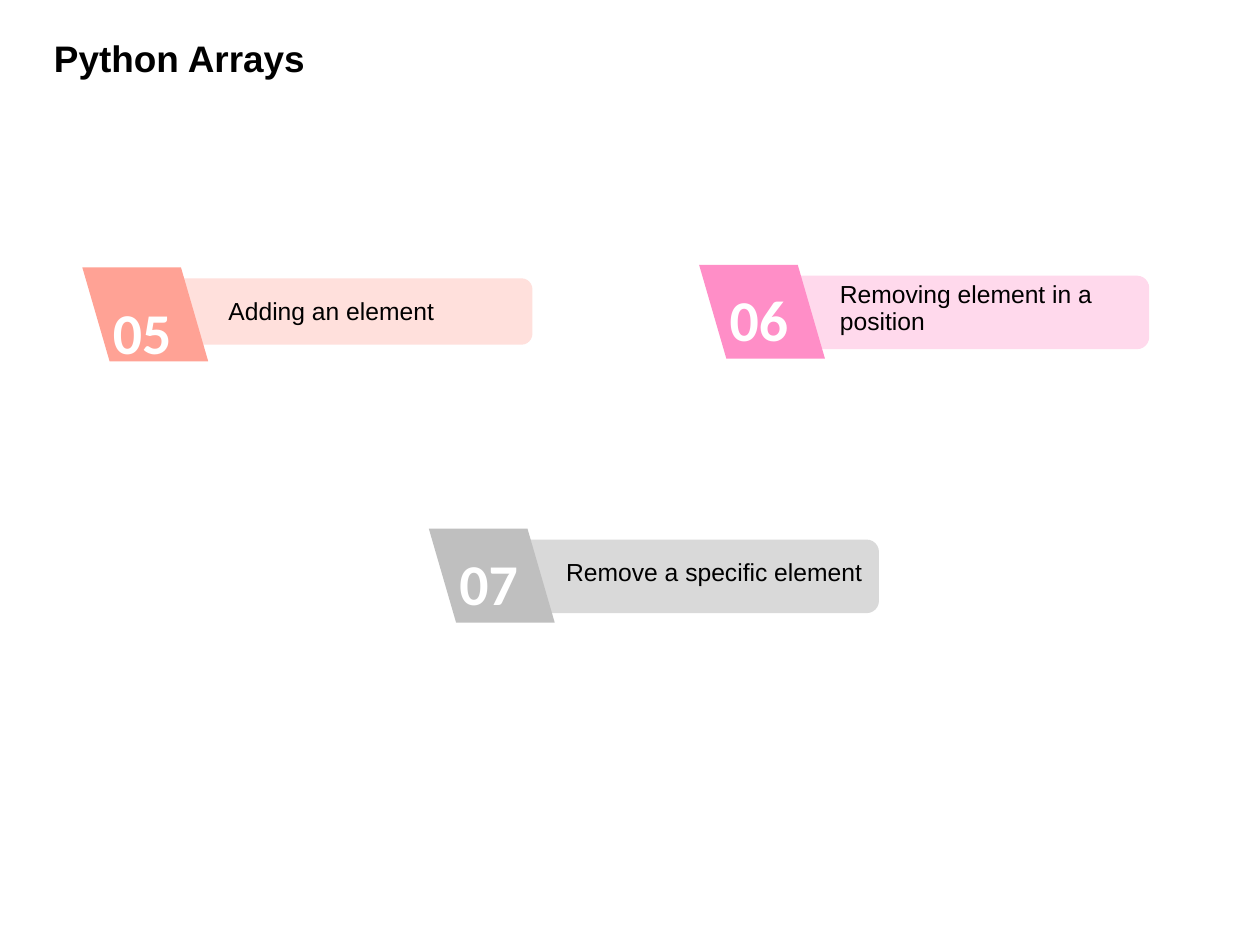
from typing import NamedTuple

from pptx import Presentation
from pptx.dml.color import RGBColor
from pptx.enum.shapes import MSO_SHAPE
from pptx.enum.text import MSO_ANCHOR, MSO_AUTO_SIZE, PP_ALIGN
from pptx.util import Inches, Pt

ROUNDED = MSO_SHAPE.ROUNDED_RECTANGLE
PARALLELOGRAM = MSO_SHAPE.PARALLELOGRAM
TOP = MSO_ANCHOR.TOP
LEFT = PP_ALIGN.LEFT
FIT_SHAPE = MSO_AUTO_SIZE.SHAPE_TO_FIT_TEXT

BLACK = RGBColor(0x00, 0x00, 0x00)
WHITE = RGBColor(0xFF, 0xFF, 0xFF)
CORAL = RGBColor(0xFF, 0xA2, 0x95)
PALE_CORAL = RGBColor(0xFF, 0xE0, 0xDC)
PINK = RGBColor(0xFF, 0x8E, 0xC7)
PALE_PINK = RGBColor(0xFF, 0xD9, 0xEC)
GRAY = RGBColor(0xBF, 0xBF, 0xBF)
PALE_GRAY = RGBColor(0xD9, 0xD9, 0xD9)

# The grid has 100 columns and 100 rows
WIDTH, HEIGHT = Inches(14.22), Inches(10.67)
COL, ROW = WIDTH / 100, HEIGHT / 100

TAB_W, TAB_H = 9.99, 9.93
BAR_DX, BAR_DY, BAR_W = 6.96, 1.15, 28.76
LABEL_RISE = 0.2


class Topic(NamedTuple):
    """Grid positions in columns and rows; label_dx starts at the tab's left."""
    number: str
    label: str
    col: float
    row: float
    bar_rows: float
    label_dx: float
    label_cols: float
    label_rows: float
    number_drop: float
    tab_color: RGBColor
    bar_color: RGBColor


TOPICS = [
    Topic("05", "Adding an element", 6.54, 28.3, 7.03,
          10.9, 17.86, 3.75, 0.15, CORAL, PALE_CORAL),
    Topic("06", "Removing element in a position", 55.49, 28.02, 7.78,
          10.48, 24.33, 6.65, 0.03, PINK, PALE_PINK),
    Topic("07", "Remove a specific element", 34.04, 55.95, 7.78,
          10.2, 25.11, 3.75, 0.03, GRAY, PALE_GRAY),
]


def cells(col, row, cols, rows):
    """Turn grid units into left, top, width and height."""
    return round(col * COL), round(row * ROW), round(cols * COL), round(rows * ROW)


def write(frame, text, size, font_name, color, bold=False):
    frame.word_wrap = True
    frame.vertical_anchor = TOP
    paragraph = frame.paragraphs[0]
    paragraph.text = text
    paragraph.alignment = LEFT
    font = paragraph.runs[0].font
    font.size, font.name, font.bold = Pt(size), font_name, bold
    font.color.rgb = color


def add_block(slide, preset, place, color):
    block = slide.shapes.add_shape(preset, *place)
    block.shadow.inherit = False
    block.fill.solid()
    block.fill.fore_color.rgb = color
    block.line.fill.background()
    return block


def add_label(slide, place, text, size, bold=False):
    frame = slide.shapes.add_textbox(*place).text_frame
    write(frame, text, size, "Arial", BLACK, bold)
    frame.paragraphs[0].line_spacing = 0.9
    frame.margin_right = 0
    frame.auto_size = FIT_SHAPE


def add_number_tab(slide, topic):
    place = cells(topic.col, topic.row, TAB_W, TAB_H)
    tab = add_block(slide, PARALLELOGRAM, place, topic.tab_color)
    tab.adjustments[0] = 0.29
    tab._element.spPr.xfrm.set("flipH", "1")
    frame = tab.text_frame
    write(frame, topic.number, 46.9, "Calibri", WHITE, bold=True)
    frame.margin_top = Inches(topic.number_drop)
    frame.margin_bottom = 0


def add_topic(slide, topic):
    bar_place = cells(topic.col + BAR_DX, topic.row + BAR_DY,
                      BAR_W, topic.bar_rows)
    add_block(slide, ROUNDED, bar_place, topic.bar_color)
    label_row = topic.row + (TAB_H - topic.label_rows) / 2 - LABEL_RISE
    label_place = cells(topic.col + topic.label_dx, label_row,
                        topic.label_cols, topic.label_rows)
    add_label(slide, label_place, topic.label, 20)
    add_number_tab(slide, topic)


def main():
    deck = Presentation()
    deck.slide_width, deck.slide_height = WIDTH, HEIGHT
    slide = deck.slides.add_slide(deck.slide_layouts[6])
    for topic in TOPICS:
        add_topic(slide, topic)
    add_label(slide, cells(3.59, 3.84, 36.57, 5.25), "Python Arrays", 30, bold=True)
    deck.save("out.pptx")


if __name__ == "__main__":
    main()
